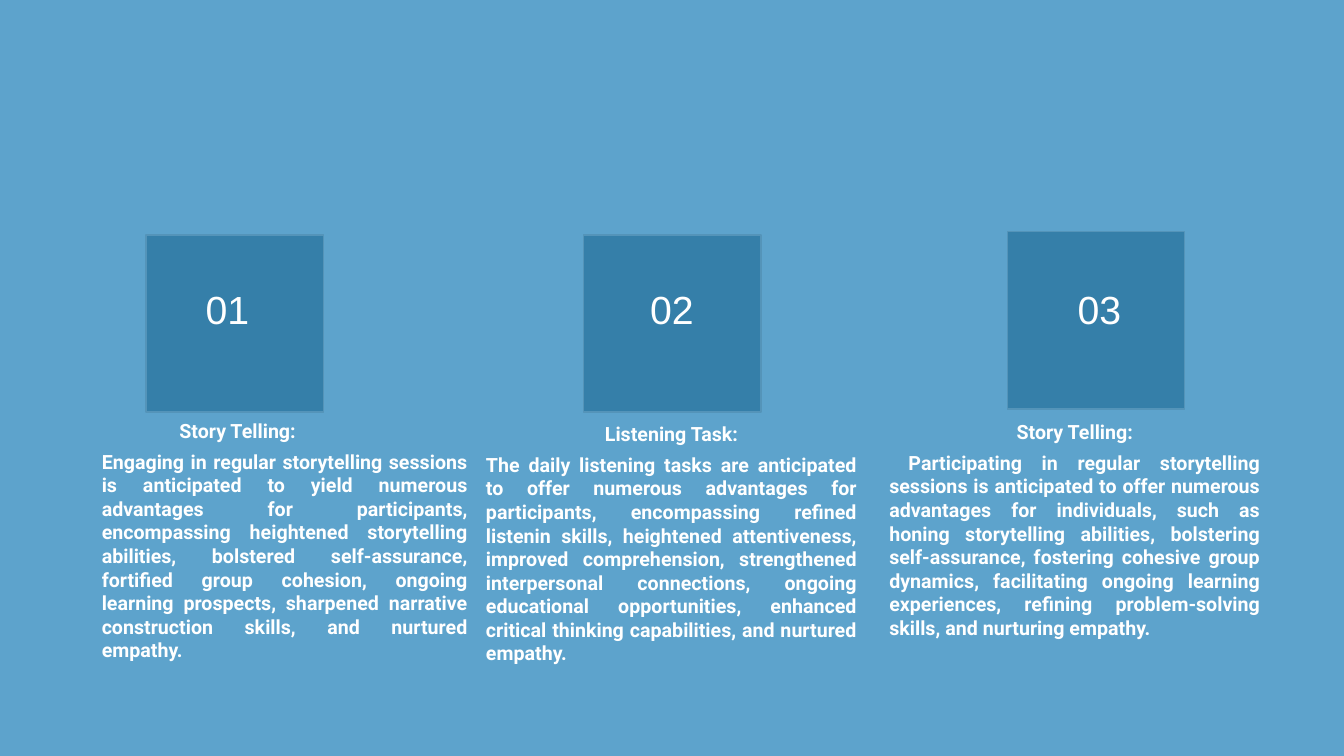
from dataclasses import dataclass

from pptx import Presentation
from pptx import util as u
from pptx.dml.color import RGBColor
from pptx.enum import shapes, text


@dataclass(frozen=True)
class Theme:
    background: RGBColor = RGBColor.from_string("5DA3CC")
    tile: RGBColor = RGBColor.from_string("357FA9")
    tile_line: RGBColor = RGBColor.from_string("5494B9")
    ink: RGBColor = RGBColor.from_string("FFFFFF")
    body_font: str = "Roboto"
    number_font: str = "Arial"
    body_size: int = 14
    number_size: int = 28
    para_gap: int = 5


theme = Theme()
CENTER, JUSTIFY, LEFT = text.PP_ALIGN.CENTER, text.PP_ALIGN.JUSTIFY, text.PP_ALIGN.LEFT
TILE_SIDE = u.Inches(1.76)
TEXT_HEIGHT = u.Inches(1.04)

# tile (left, top), text (left, top, width), number left,
# heading (wording, alignment, indent), body (wording, indent)
columns = [
    ((1.45, 2.33), (1.01, 4.16, 3.63), 1.94,
     ("Story Telling:", LEFT, 0.77),
     ("Engaging in regular storytelling sessions is anticipated to yield numerous "
      "advantages for participants, encompassing heightened storytelling abilities, "
      "bolstered self-assurance, fortified group cohesion, ongoing learning prospects, "
      "sharpened narrative construction skills, and nurtured empathy.", 0)),
    ((5.79, 2.33), (4.82, 4.19, 3.68), 6.35,
     ("Listening Task:", CENTER, 0),
     ("The daily listening tasks are anticipated to offer numerous advantages for "
      "participants, encompassing refined listenin skills, heightened attentiveness, "
      "improved comprehension, strengthened interpersonal connections, ongoing "
      "educational opportunities, enhanced critical thinking capabilities, and "
      "nurtured empathy.", 0)),
    ((9.99, 2.3), (8.82, 4.17, 3.68), 10.59,
     ("Story Telling:", CENTER, 0),
     ("Participating in regular storytelling sessions is anticipated to offer numerous "
      "advantages for individuals, such as honing storytelling abilities, bolstering "
      "self-assurance, fostering cohesive group dynamics, facilitating ongoing learning "
      "experiences, refining problem-solving skills, and nurturing empathy.", 0.19)),
]


def add_span(para, wording, font, size, bold=False):
    span = para.add_run()
    span.text = wording
    span.font.name = font
    span.font.size = u.Pt(size)
    span.font.bold = bold
    span.font.color.rgb = theme.ink


deck = Presentation()
deck.slide_width, deck.slide_height = u.Inches(13.33), u.Inches(7.5)
page = deck.slides.add_slide(deck.slide_layouts[6])
page.background.fill.solid()
page.background.fill.fore_color.rgb = theme.background

for number, (tile_at, text_at, number_left, heading, body) in enumerate(columns, 1):
    tile = page.shapes.add_shape(
        shapes.MSO_SHAPE.RECTANGLE, *map(u.Inches, tile_at), TILE_SIDE, TILE_SIDE)
    tile.shadow.inherit = False
    tile.fill.solid()
    tile.fill.fore_color.rgb = theme.tile
    tile.line.color.rgb = theme.tile_line
    tile.line.width = u.Pt(1)

    box = page.shapes.add_textbox(*map(u.Inches, text_at), TEXT_HEIGHT)
    frame = box.text_frame
    frame.word_wrap = True
    frame.margin_left = frame.margin_top = frame.margin_right = frame.margin_bottom = 0
    body_wording, body_indent = body
    for index, (wording, alignment, indent) in enumerate(
            [heading, (body_wording, JUSTIFY, body_indent)]):
        para = frame.add_paragraph() if index else frame.paragraphs[0]
        para.alignment = alignment
        para.space_after = u.Pt(theme.para_gap)
        if indent:
            para._p.get_or_add_pPr().set("indent", str(u.Inches(indent)))
        add_span(para, wording, theme.body_font, theme.body_size, bold=True)

    label = page.shapes.add_textbox(
        u.Inches(number_left), u.Inches(2.78), u.Inches(0.64), u.Inches(0.57))
    label.text_frame.word_wrap = False
    label.text_frame.auto_size = text.MSO_AUTO_SIZE.SHAPE_TO_FIT_TEXT
    add_span(label.text_frame.paragraphs[0], f"{number:02}",
             theme.number_font, theme.number_size)

deck.save("out.pptx")
